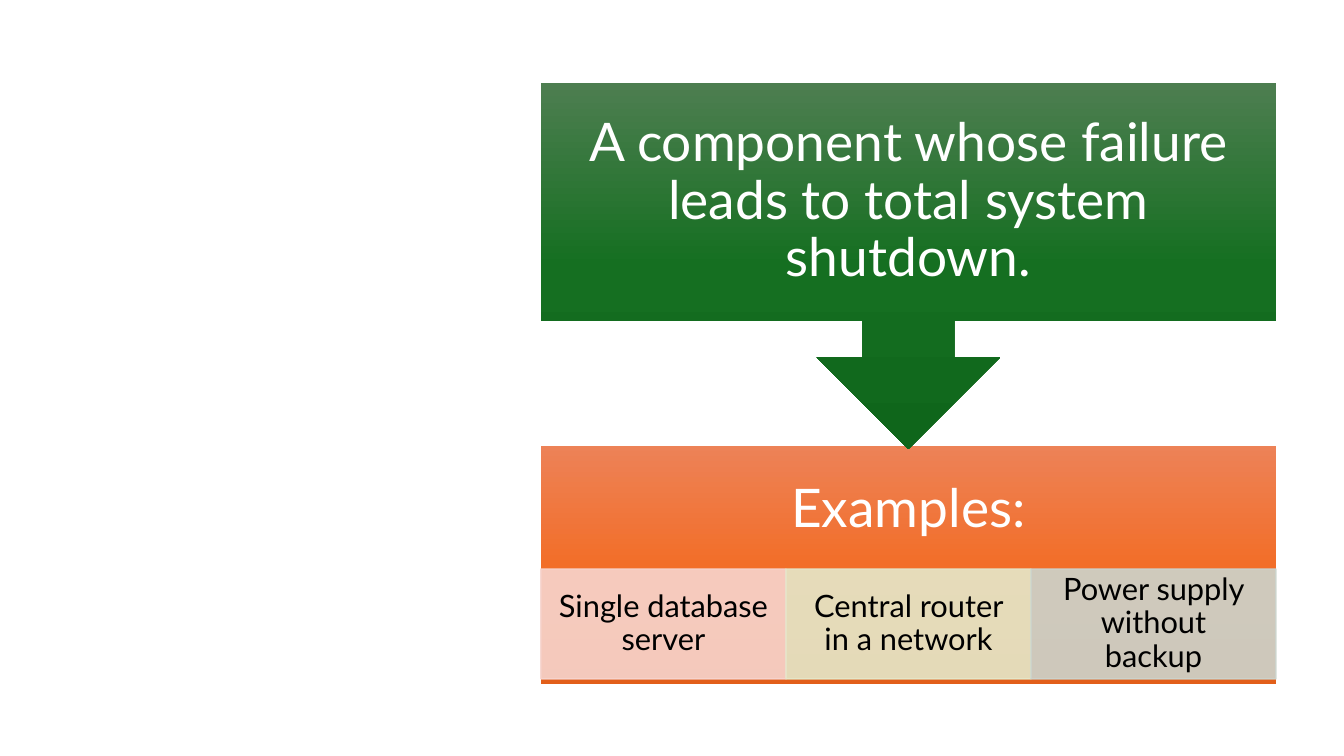
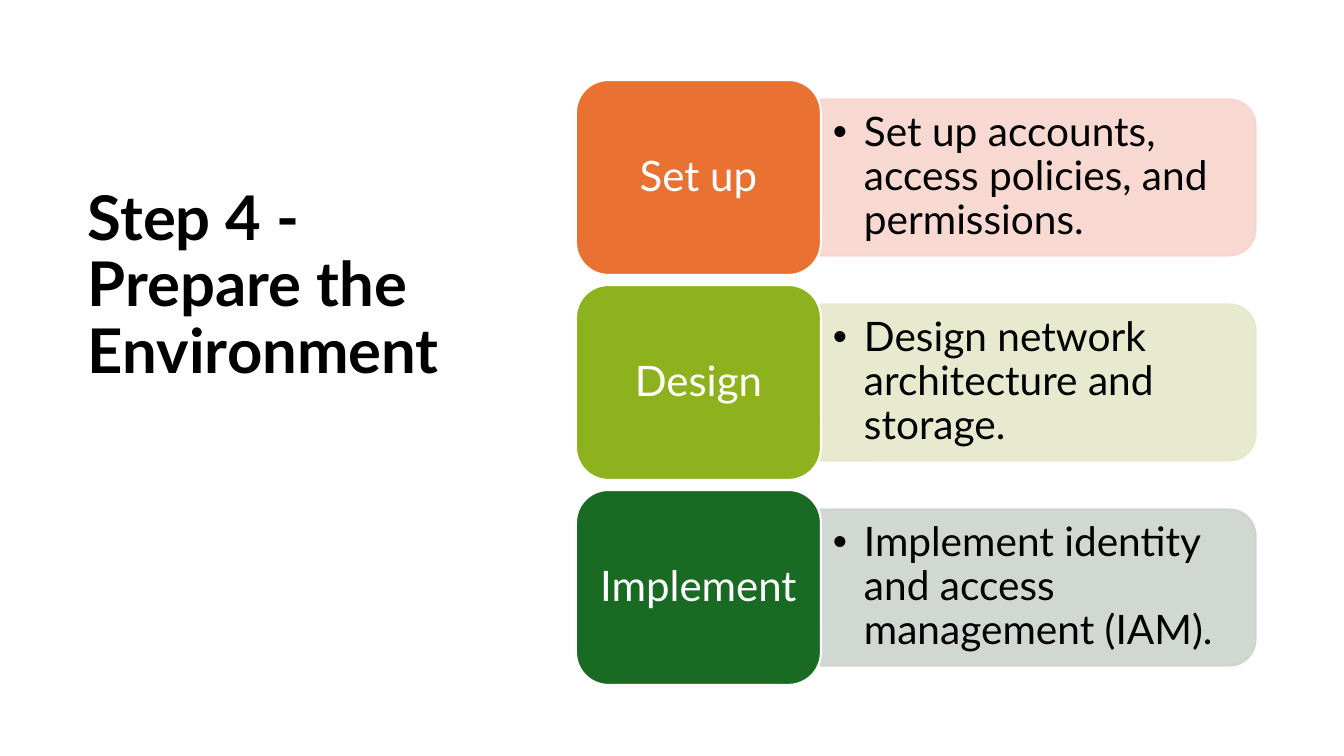
from copy import deepcopy

from lxml import etree
from pptx import Presentation
from pptx.dml.color import RGBColor
from pptx.enum.shapes import MSO_SHAPE as SHAPE
from pptx.enum.text import MSO_ANCHOR as ANCHOR, MSO_AUTO_SIZE as AUTO_SIZE, PP_ALIGN as ALIGN
from pptx.oxml.ns import qn
from pptx.util import Pt

PX = 914400 / 100.8
FONT = "Lato"
COLORS = {
    "black": "000000", "white": "FFFFFF",
    "orange": "E97132", "lime": "8EB21E", "green": "196B24",
    "pale_orange": "F7D5CE", "pale_lime": "E5E8CA", "pale_green": "CCD4CD",
}
ORANGE_GRADIENT = ["ED8257", "F26E29", "E25F1A"]
GREEN_GRADIENT = ["4D7E50", "156F21", "0F661B"]


def add_block(slide, preset, box, fill, line=None, line_width=1, opacity=100):
    shape = slide.shapes.add_shape(preset, *[round(value * PX) for value in box])
    shape.shadow.inherit = False
    if isinstance(fill, list):
        shape.fill.gradient()
        shape.fill.gradient_angle = 270
        stop_list = shape._element.spPr.find(qn("a:gradFill")).find(qn("a:gsLst"))
        stop_list.append(deepcopy(stop_list[0]))
        for index, (stop, color) in enumerate(zip(shape.fill.gradient_stops, fill)):
            stop.position = index / 2
            stop.color.rgb = RGBColor.from_string(color)
    else:
        shape.fill.solid()
        shape.fill.fore_color.rgb = RGBColor.from_string(COLORS[fill])
    if line:
        shape.line.color.rgb = RGBColor.from_string(COLORS[line])
        shape.line.width = Pt(line_width)
    else:
        shape.line.fill.background()
    if opacity < 100:
        for color in shape._element.spPr.iter(qn("a:srgbClr")):
            etree.SubElement(color, qn("a:alpha"), val=str(opacity * 1000))
    return shape


def write(shape, text, size, color, insets, align=ALIGN.CENTER, bold=False, bullet_indent=0):
    frame = shape.text_frame
    left, top, right, bottom = [round(value * PX) for value in insets]
    frame_format = {
        "word_wrap": True, "auto_size": AUTO_SIZE.NONE, "vertical_anchor": ANCHOR.MIDDLE,
        "margin_left": left, "margin_top": top, "margin_right": right, "margin_bottom": bottom,
    }
    for name, value in frame_format.items():
        setattr(frame, name, value)
    frame.text = text
    paragraph = frame.paragraphs[0]
    for name, value in {"alignment": align, "line_spacing": 0.9, "space_before": Pt(0)}.items():
        setattr(paragraph, name, value)
    if bullet_indent:
        indent = round(bullet_indent * PX)
        properties = paragraph._p.get_or_add_pPr()
        properties.set("marL", str(indent))
        properties.set("indent", str(-indent))
        etree.SubElement(properties, qn("a:buFont"), typeface="Arial")
        etree.SubElement(properties, qn("a:buChar"), char="•")
    font = paragraph.runs[0].font
    for name, value in {"name": FONT, "size": Pt(size), "bold": bold}.items():
        setattr(font, name, value)
    font.color.rgb = RGBColor.from_string(COLORS[color])


presentation = Presentation()
presentation.slide_width = round(1344 * PX)
presentation.slide_height = round(756 * PX)
TITLE_ONLY, BLANK = presentation.slide_layouts[5], presentation.slide_layouts[6]

slide = presentation.slides.add_slide(BLANK)
examples = add_block(slide, SHAPE.RECTANGLE, (541, 446, 735, 238), ORANGE_GRADIENT)
write(examples, "Examples:", 38, "white", (30, 30, 30, 139))

EXAMPLE_CELLS = [
    ("Single database server", "pale_orange", 16),
    ("Central router in a network", "pale_lime", 17),
    ("Power supply without backup", "pale_green", 22),
]
for column, (text, color, inset) in enumerate(EXAMPLE_CELLS):
    box = (541 + column * 245, 569, 245, 110)
    cell = add_block(slide, SHAPE.RECTANGLE, box, color, color, 1, 90)
    write(cell, text, 22, "black", (inset, 3, inset, 3))

definition = add_block(slide, SHAPE.DOWN_ARROW_CALLOUT, (541, 83, 735, 366), GREEN_GRADIENT)
write(definition, "A component whose failure leads to total system shutdown.",
      38, "white", (30, 30, 30, 30))

slide = presentation.slides.add_slide(TITLE_ONLY)
title = slide.shapes.title
for name, value in {"left": 78, "top": 101, "width": 431, "height": 438}.items():
    setattr(title, name, round(value * PX))
write(title, "Step 4 - Prepare the Environment", 44, "black", (10, 5, 10, 71),
      align=ALIGN.LEFT, bold=True)

TASKS = [
    ("Set up", "Set up accounts, access policies, and permissions.", "orange"),
    ("Design", "Design network architecture and storage.", "lime"),
    ("Implement", "Implement identity and access management (IAM).", "green"),
]
for row, (label, detail, color) in enumerate(TASKS):
    offset = row * 205
    pale = f"pale_{color}"
    panel = add_block(slide, SHAPE.ROUND_2_SAME_RECTANGLE, (960, offset - 40, 156, 435),
                      pale, pale, 1.5, 90)
    panel.rotation = 90
    detail_box = slide.shapes.add_textbox(
        *[round(value * PX) for value in (821, 107 + offset, 427, 141)])
    write(detail_box, detail, 29, "black", (12, 6, 12, 6), align=ALIGN.LEFT, bullet_indent=31)
    card = add_block(slide, SHAPE.ROUNDED_RECTANGLE, (576, 80 + offset, 245, 195),
                     color, "white", 1.5)
    write(card, label, 30, "white", (10, 6, 10, 6))

presentation.save("out.pptx")
